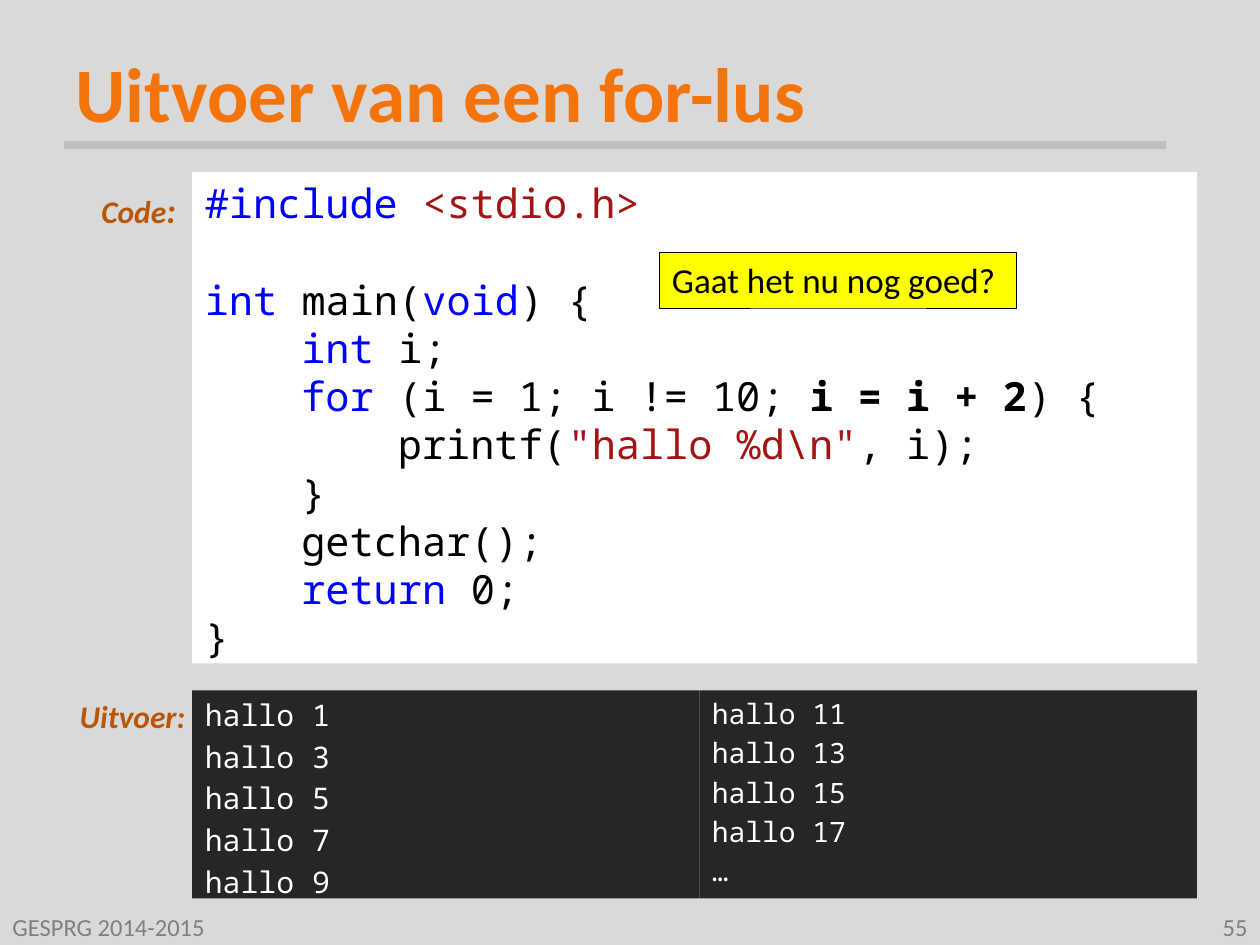
from collections import namedtuple

from lxml import etree
from pptx import Presentation
from pptx.dml.color import RGBColor
from pptx.enum.shapes import MSO_CONNECTOR, MSO_SHAPE
from pptx.enum.text import MSO_ANCHOR, MSO_AUTO_SIZE, PP_ALIGN
from pptx.oxml.ns import qn
from pptx.util import Inches, Pt

LEFT, RIGHT = PP_ALIGN.LEFT, PP_ALIGN.RIGHT
TOP, MIDDLE = MSO_ANCHOR.TOP, MSO_ANCHOR.MIDDLE
NO_FIT = MSO_AUTO_SIZE.NONE
RECTANGLE, STRAIGHT = MSO_SHAPE.RECTANGLE, MSO_CONNECTOR.STRAIGHT

COLORS = {
    "background": "D9D9D9", "rule": "BFBFBF", "title": "F4740A", "label": "B75707",
    "footer": "808080", "paper": "FFFFFF", "console": "262626", "note": "FFFF00",
    "plain": "000000", "keyword": "0000FF", "string": "A31515",
}
SANS, MONO = "Calibri", "Noto Sans Mono"
WIDTH, HEIGHT = Inches(10), Inches(7.5)
COLUMN, ROW = WIDTH / 100, HEIGHT / 75
COMPARISON_LAYOUT = 4

Box = namedtuple("Box", "left top width height")

CODE = [
    [("#include ", "keyword"), ("<stdio.h>", "string")],
    [],
    [("int ", "keyword"), ("main(", "plain"), ("void", "keyword"), (") {", "plain")],
    [("    int", "keyword"), (" i;", "plain")],
    [("    for", "keyword"), (" (i = 1; i != 10; ", "plain"),
     ("i = i + 2", "plain", True), (") {", "plain")],
    [("        printf(", "plain"), (r'"hallo %d\n"', "string"), (", i);", "plain")],
    [("    }", "plain")],
    [("    getchar();", "plain")],
    [("    return", "keyword"), (" 0;", "plain")],
    [("}", "plain")],
]
OUTPUT_LEFT = [f"hallo {number}" for number in range(1, 10, 2)]
OUTPUT_RIGHT = [f"hallo {number}" for number in range(11, 18, 2)] + ["…"]


def color(name):
    """Return the named colour."""
    return RGBColor.from_string(COLORS[name])


def emu(box):
    """Turn grid columns and rows into slide lengths."""
    return (round(box.left * COLUMN), round(box.top * ROW),
            round(box.width * COLUMN), round(box.height * ROW))


def add_run(paragraph, text, size, color_name, font=SANS, bold=False, italic=False):
    """Append one formatted run."""
    run = paragraph.add_run()
    run.text = text
    run.font.name, run.font.size = font, Pt(size)
    run.font.bold, run.font.italic = bold, italic
    run.font.color.rgb = color(color_name)


def prepare_frame(shape, anchor=TOP, alignment=LEFT):
    """Set wrapping and anchor, and return the first paragraph."""
    frame = shape.text_frame
    frame.word_wrap, frame.auto_size = True, NO_FIT
    frame.vertical_anchor = anchor
    frame.paragraphs[0].alignment = alignment
    return frame.paragraphs[0]


def place(shape, box):
    """Move a placeholder into a box."""
    shape.left, shape.top, shape.width, shape.height = emu(box)


def add_text(slide, box, runs, anchor=TOP, alignment=LEFT):
    """Add a one-line text box made of runs."""
    paragraph = prepare_frame(slide.shapes.add_textbox(*emu(box)), anchor, alignment)
    for run in runs:
        add_run(paragraph, **run)


def add_label(slide, box, parts):
    """Add a right-aligned side label."""
    runs = [dict(text=text, size=size, color_name="label", bold=True, italic=True)
            for text, size in parts]
    add_text(slide, box, runs, alignment=RIGHT)


def fill_listing(shape, box, lines, size, fill, gap=0):
    """Write monospaced lines into a filled body placeholder."""
    place(shape, box)
    shape.fill.solid()
    shape.fill.fore_color.rgb = color(fill)
    prepare_frame(shape)
    for index, line in enumerate(lines):
        frame = shape.text_frame
        paragraph = frame.add_paragraph() if index else frame.paragraphs[0]
        properties = paragraph._p.get_or_add_pPr()
        properties.set("marL", "0")
        properties.set("indent", "0")
        etree.SubElement(properties, qn("a:buNone"))
        paragraph.alignment = LEFT
        paragraph.line_spacing = 1.0
        paragraph.space_before = Pt(gap * size if index else 0)
        paragraph.font.size, paragraph.font.name = Pt(size), MONO
        for text, color_name, *bold in line:
            add_run(paragraph, text, size, color_name, MONO, bool(bold))


def build_title(slide, box):
    """Write the title and the rule along its lower edge."""
    title = slide.shapes.title
    place(title, box)
    add_run(prepare_frame(title, MIDDLE), "Uitvoer van een for-lus", 44, "title", bold=True)
    left, top, width, height = emu(box)
    bottom = top + height
    rule = slide.shapes.add_connector(
        STRAIGHT, left + round(0.1 * COLUMN), bottom, left + round(87.5 * COLUMN), bottom)
    rule.line.color.rgb, rule.line.width = color("rule"), Pt(4.5)
    etree.SubElement(rule._element.spPr, qn("a:effectLst"))


def build_code(slide, listing, box):
    """Build the labelled program with its question note."""
    add_label(slide, Box(box.left - 10.5, box.top + 0.85, 10.2, 14.5),
              [("Code", 18), (":", 20)])
    fill_listing(listing, box, CODE, 23, "paper")
    note_box = Box(box.left + 37.1, box.top + 6.4, 28.3, 4.4)
    note = slide.shapes.add_shape(RECTANGLE, *emu(note_box))
    note.shadow.inherit = False
    note.fill.solid()
    note.fill.fore_color.rgb = color("note")
    note.line.color.rgb, note.line.width = color("plain"), Pt(0.25)
    add_run(prepare_frame(note), "Gaat het nu nog goed?", 20, "plain")


def build_output(slide, listings, box):
    """Build the labelled console output in two columns."""
    add_label(slide, Box(box.left - 11.25, box.top, 11.7, 7.1), [("Uitvoer:", 18)])
    split = 40.25
    halves = [box._replace(width=split),
              box._replace(left=box.left + split, width=box.width - split)]
    for listing, half, texts, size in zip(
            listings, halves, (OUTPUT_LEFT, OUTPUT_RIGHT), (17, 16)):
        lines = [[(text, "paper")] for text in texts]
        fill_listing(listing, half, lines, size, "console", gap=0.2)


def build_footer(slide, box):
    """Write the course name and page number at both ends."""
    width = 23.3
    ends = [(box.left, "GESPRG 2014-2015", LEFT),
            (box.left + box.width - width, "55", RIGHT)]
    for left, text, alignment in ends:
        add_text(slide, box._replace(left=left, width=width),
                 [dict(text=text, size=14, color_name="footer")], MIDDLE, alignment)


def main():
    """Build and save the presentation."""
    presentation = Presentation()
    presentation.slide_width, presentation.slide_height = WIDTH, HEIGHT
    slide = presentation.slides.add_slide(presentation.slide_layouts[COMPARISON_LAYOUT])
    slide.background.fill.solid()
    slide.background.fill.fore_color.rgb = color("background")
    _, code, left_output, right_output, spare = list(slide.placeholders)
    spare._element.getparent().remove(spare._element)
    build_title(slide, Box(5, 3, 90, 8.5))
    build_code(slide, code, Box(15.25, 13.65, 79.75, 39))
    build_output(slide, (left_output, right_output), Box(15.25, 54.8, 79.75, 16.5))
    build_footer(slide, Box(0, 72.1, 100, 2.9))
    presentation.save("out.pptx")


if __name__ == "__main__":
    main()
